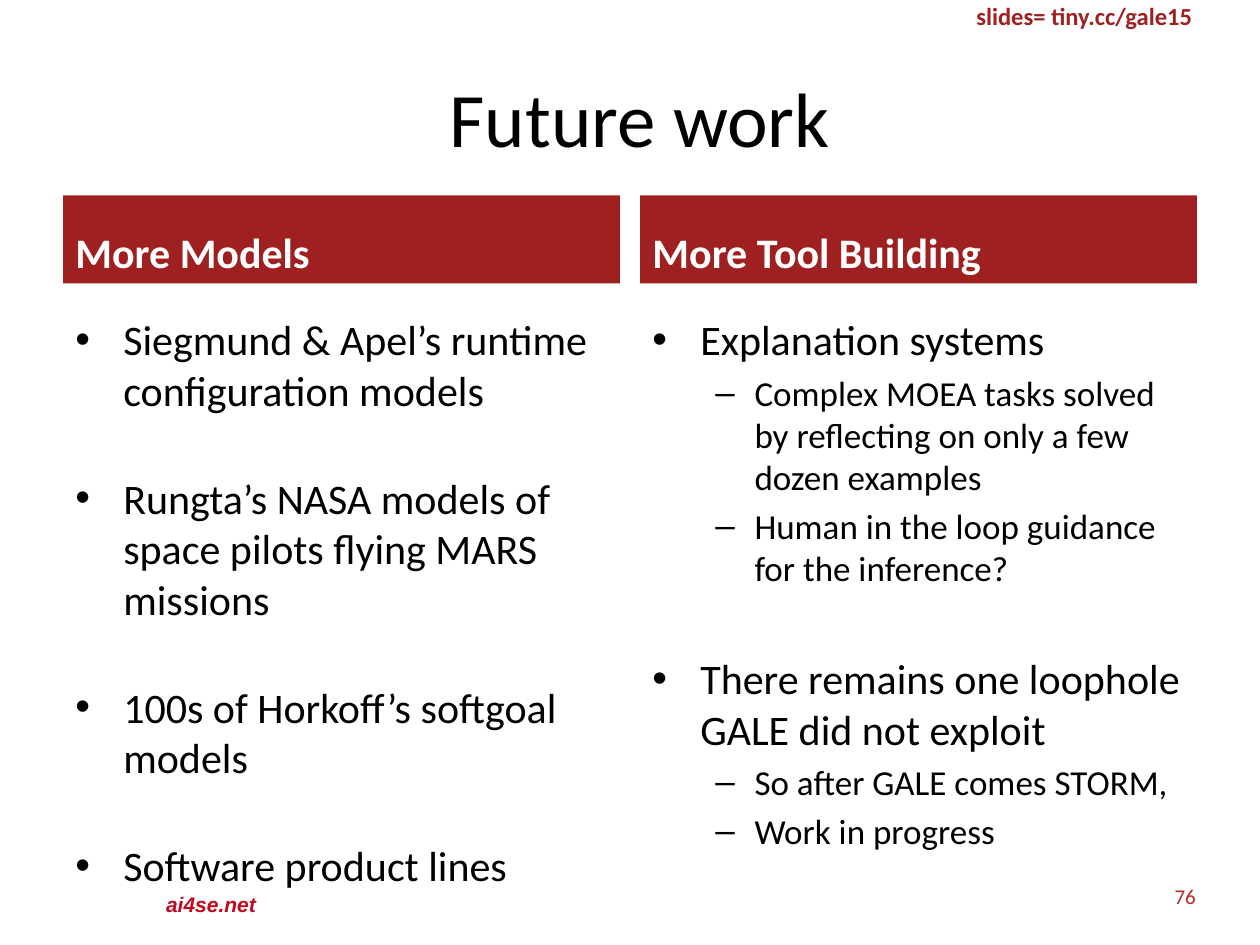
from dataclasses import dataclass
from typing import Optional

from lxml.etree import SubElement
from pptx import Presentation
from pptx.dml.color import RGBColor
from pptx.enum.shapes import MSO_SHAPE
from pptx.enum.text import MSO_ANCHOR, PP_ALIGN
from pptx.oxml.ns import qn
from pptx.util import Inches, Pt

RED = RGBColor(0x9F, 0x20, 0x21)
PALE = RGBColor(0xB0, 0x2C, 0x2B)
BRIGHT = RGBColor(0xBF, 0x0A, 0x1E)
BLACK = RGBColor(0, 0, 0)
WHITE = RGBColor(255, 255, 255)


@dataclass(frozen=True)
class Label:
    text: str
    box: tuple[float, float, float, float]
    size: float
    color: RGBColor
    bold: bool = False
    italic: bool = False
    font: str = "Calibri"
    align: PP_ALIGN = PP_ALIGN.LEFT
    anchor: MSO_ANCHOR = MSO_ANCHOR.TOP
    wrap: bool = True
    fill: Optional[RGBColor] = None


@dataclass(frozen=True)
class Item:
    text: str
    level: int = 0
    gap: float = 4


@dataclass(frozen=True)
class Level:
    mark: str
    size: float
    left: float
    hang: float


@dataclass(frozen=True)
class Column:
    left: float
    head: str
    items: list[Item]


WIDTH = 4.42
LEVELS = [Level("•", 24, 0.38, 0.38), Level("–", 20, 0.81, 0.31)]

LABELS = [
    Label("76", (7.26, 6.91, 2.33, 0.4), 12, PALE,
          align=PP_ALIGN.RIGHT, anchor=MSO_ANCHOR.MIDDLE),
    Label("ai4se.net", (1.22, 7.03, 0.96, 0.3), 12, BRIGHT,
          bold=True, italic=True, font="Arial", wrap=False),
    Label("slides= tiny.cc/gale15", (7.65, -0.04, 2.37, 0.34), 14, RED, bold=True),
    Label("Future work", (0.58, 0.3, 9, 1.25), 44, BLACK,
          align=PP_ALIGN.CENTER, anchor=MSO_ANCHOR.MIDDLE),
]

COLUMNS = [
    Column(0.5, "More Models", [
        Item("Siegmund & Apel’s runtime configuration models", gap=0),
        Item("Rungta’s NASA models of space pilots flying MARS missions", gap=33),
        Item("100s of Horkoff’s softgoal models", gap=33),
        Item("Software product lines", gap=33),
    ]),
    Column(5.08, "More Tool Building", [
        Item("Explanation systems", gap=0),
        Item("Complex MOEA tasks solved by reflecting on only a few dozen examples", 1),
        Item("Human in the loop guidance for the inference?", 1),
        Item("There remains one loophole GALE did not exploit", gap=37),
        Item("So after GALE comes STORM,", 1),
        Item("Work in progress", 1),
    ]),
]


def style(para, size: float, color: RGBColor, font: str = "Calibri",
          bold: bool = False, italic: bool = False) -> None:
    for run in para.runs:
        run.font.name = font
        run.font.size = Pt(size)
        run.font.bold = bold
        run.font.italic = italic
        run.font.color.rgb = color


def draw_label(slide, label: Label) -> None:
    box = [Inches(n) for n in label.box]
    if label.fill is None:
        shape = slide.shapes.add_textbox(*box)
    else:
        shape = slide.shapes.add_shape(MSO_SHAPE.RECTANGLE, *box)
        shape.shadow.inherit = False
        shape.fill.solid()
        shape.fill.fore_color.rgb = label.fill
        shape.line.fill.background()
    frame = shape.text_frame
    frame.text = label.text
    frame.word_wrap = label.wrap
    frame.vertical_anchor = label.anchor
    para = frame.paragraphs[0]
    para.alignment = label.align
    style(para, label.size, label.color, label.font, label.bold, label.italic)


def add_mark(para, level: Level) -> None:
    props = para._p.get_or_add_pPr()
    props.set("marL", str(Inches(level.left)))
    props.set("indent", str(-Inches(level.hang)))
    SubElement(props, qn("a:buFont"), typeface="Arial")
    SubElement(props, qn("a:buChar"), char=level.mark)


def draw_list(slide, left: float, items: list[Item]) -> None:
    frame = slide.shapes.add_textbox(
        Inches(left), Inches(2.44), Inches(WIDTH), Inches(4.32)).text_frame
    frame.word_wrap = True
    frame.text = "\n".join(item.text for item in items)
    for para, item in zip(frame.paragraphs, items):
        level = LEVELS[item.level]
        para.level = item.level
        para.space_before = Pt(item.gap)
        add_mark(para, level)
        style(para, level.size, BLACK)


def main() -> None:
    deck = Presentation()
    deck.slide_width, deck.slide_height = Inches(10), Inches(7.5)
    slide = deck.slides.add_slide(deck.slide_layouts[6])
    for label in LABELS:
        draw_label(slide, label)
    for col in COLUMNS:
        draw_label(slide, Label(col.head, (col.left, 1.55, WIDTH, 0.7), 24, WHITE,
                                bold=True, anchor=MSO_ANCHOR.BOTTOM, fill=RED))
        draw_list(slide, col.left, col.items)
    deck.save("out.pptx")


if __name__ == "__main__":
    main()
